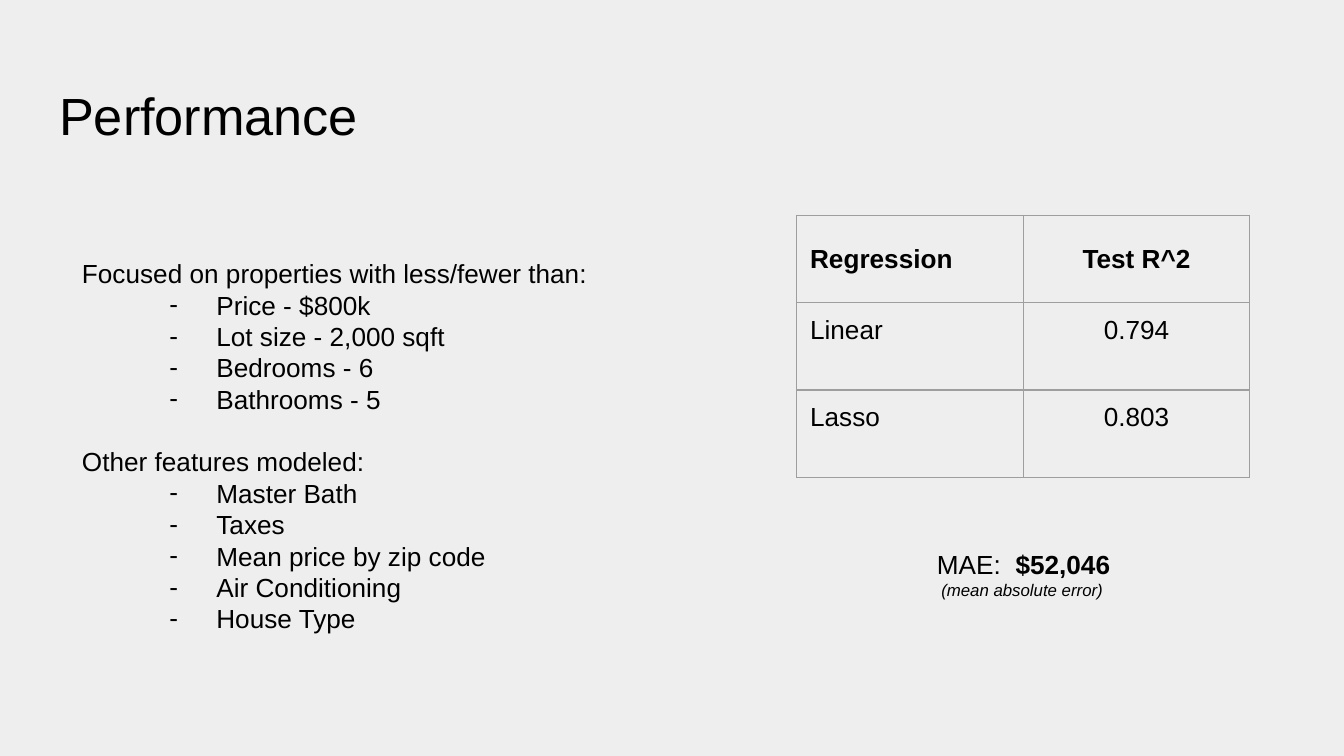
from lxml.etree import SubElement
from pptx import Presentation
from pptx.dml.color import RGBColor
from pptx.enum.text import MSO_ANCHOR, PP_ALIGN
from pptx.oxml.ns import qn
from pptx.util import Cm, Pt

BACKGROUND = RGBColor(0xEE, 0xEE, 0xEE)
BLACK = RGBColor(0x00, 0x00, 0x00)
BORDER = RGBColor(0x9E, 0x9E, 0x9E)
FONT = "Arial"
MARGIN = Cm(0.25)
LINE_PITCH = Pt(16.8)

FEATURE_GROUPS = [
    ("Focused on properties with less/fewer than:",
     ["Price - $800k", "Lot size - 2,000 sqft", "Bedrooms - 6", "Bathrooms - 5"]),
    ("Other features modeled:",
     ["Master Bath", "Taxes", "Mean price by zip code", "Air Conditioning", "House Type"]),
]
SCORES = [("Regression", "Test R^2"), ("Linear", "0.794"), ("Lasso", "0.803")]


def add_text(paragraph, text, size=14, bold=False, italic=False, align=PP_ALIGN.LEFT):
    """Append a formatted run to a paragraph."""
    paragraph.alignment = align
    run = paragraph.add_run()
    run.text = text
    run.font.name = FONT
    run.font.size = Pt(size)
    run.font.bold = bold
    run.font.italic = italic
    run.font.color.rgb = BLACK


def add_frame(slide, box, top_margin=MARGIN):
    """Add a wrapping text box and return its text frame."""
    frame = slide.shapes.add_textbox(*box).text_frame
    frame.word_wrap = True
    frame.margin_left = frame.margin_right = frame.margin_bottom = MARGIN
    frame.margin_top = top_margin
    return frame


def set_bullet(paragraph):
    """Give a paragraph a hanging dash bullet."""
    properties = paragraph._p.get_or_add_pPr()
    properties.set("lvl", "1")
    properties.set("marL", str(Cm(2.54)))
    properties.set("indent", str(-Cm(0.89)))
    color = SubElement(properties, qn("a:buClr"))
    SubElement(color, qn("a:srgbClr"), val=str(BLACK))
    SubElement(properties, qn("a:buFont"), typeface=FONT)
    SubElement(properties, qn("a:buChar"), char="-")


def set_borders(cell):
    """Draw a thin line on all four sides of a cell."""
    properties = cell._tc.get_or_add_tcPr()
    for position, side in enumerate(("lnL", "lnR", "lnT", "lnB")):
        line = SubElement(properties, qn(f"a:{side}"), w=str(Pt(0.75)))
        fill = SubElement(line, qn("a:solidFill"))
        SubElement(fill, qn("a:srgbClr"), val=str(BORDER))
        properties.insert(position, line)


def add_title(slide, box):
    """Place the slide title."""
    frame = add_frame(slide, box, Cm(0.33))
    add_text(frame.paragraphs[0], "Performance", size=28)


def add_features(slide, box):
    """Place the headed feature lists."""
    frame = add_frame(slide, box, Cm(1.44))
    paragraph = frame.paragraphs[0]
    for group, (heading, items) in enumerate(FEATURE_GROUPS):
        if group:
            paragraph = frame.add_paragraph()
            paragraph.space_before = LINE_PITCH
        paragraph.line_spacing = LINE_PITCH
        add_text(paragraph, heading)
        for item in items:
            paragraph = frame.add_paragraph()
            paragraph.line_spacing = LINE_PITCH
            add_text(paragraph, item)
            set_bullet(paragraph)


def add_scores(slide, box):
    """Place the table of regression scores."""
    table = slide.shapes.add_table(len(SCORES), len(SCORES[0]), *box).table
    for row, values in enumerate(SCORES):
        for column, value in enumerate(values):
            cell = table.cell(row, column)
            cell.margin_left = cell.margin_right = MARGIN
            cell.margin_top = cell.margin_bottom = MARGIN
            cell.vertical_anchor = MSO_ANCHOR.TOP if row else MSO_ANCHOR.MIDDLE
            cell.fill.background()
            add_text(cell.text_frame.paragraphs[0], value, bold=row == 0,
                     align=PP_ALIGN.CENTER if column else PP_ALIGN.LEFT)
            set_borders(cell)


def add_error(slide, box):
    """Place the error figure with its explanation below."""
    left, top, width, height = box
    paragraph = add_frame(slide, (left, top, width, Cm(1.09))).paragraphs[0]
    add_text(paragraph, "MAE:  ", align=PP_ALIGN.CENTER)
    add_text(paragraph, "$52,046", bold=True, align=PP_ALIGN.CENTER)
    note_top = Cm(0.64)
    note = add_frame(slide, (left + Cm(0.38), top + note_top, width, height - note_top))
    add_text(note.paragraphs[0], "(mean absolute error)", size=9, italic=True)


def main():
    """Build and save the presentation."""
    presentation = Presentation()
    presentation.slide_width = Cm(25.4)
    presentation.slide_height = Cm(14.29)
    slide = presentation.slides.add_slide(presentation.slide_layouts[6])
    slide.background.fill.solid()
    slide.background.fill.fore_color.rgb = BACKGROUND
    add_title(slide, (Cm(0.87), Cm(1.24), Cm(23.67), Cm(1.6)))
    add_scores(slide, (Cm(15.06), Cm(4.07), Cm(8.56), Cm(4.95)))
    add_error(slide, (Cm(17.16), Cm(10.12), Cm(4.37), Cm(1.45)))
    add_features(slide, (Cm(1.3), Cm(3.43), Cm(11.84), Cm(9.63)))
    presentation.save("out.pptx")


if __name__ == "__main__":
    main()
